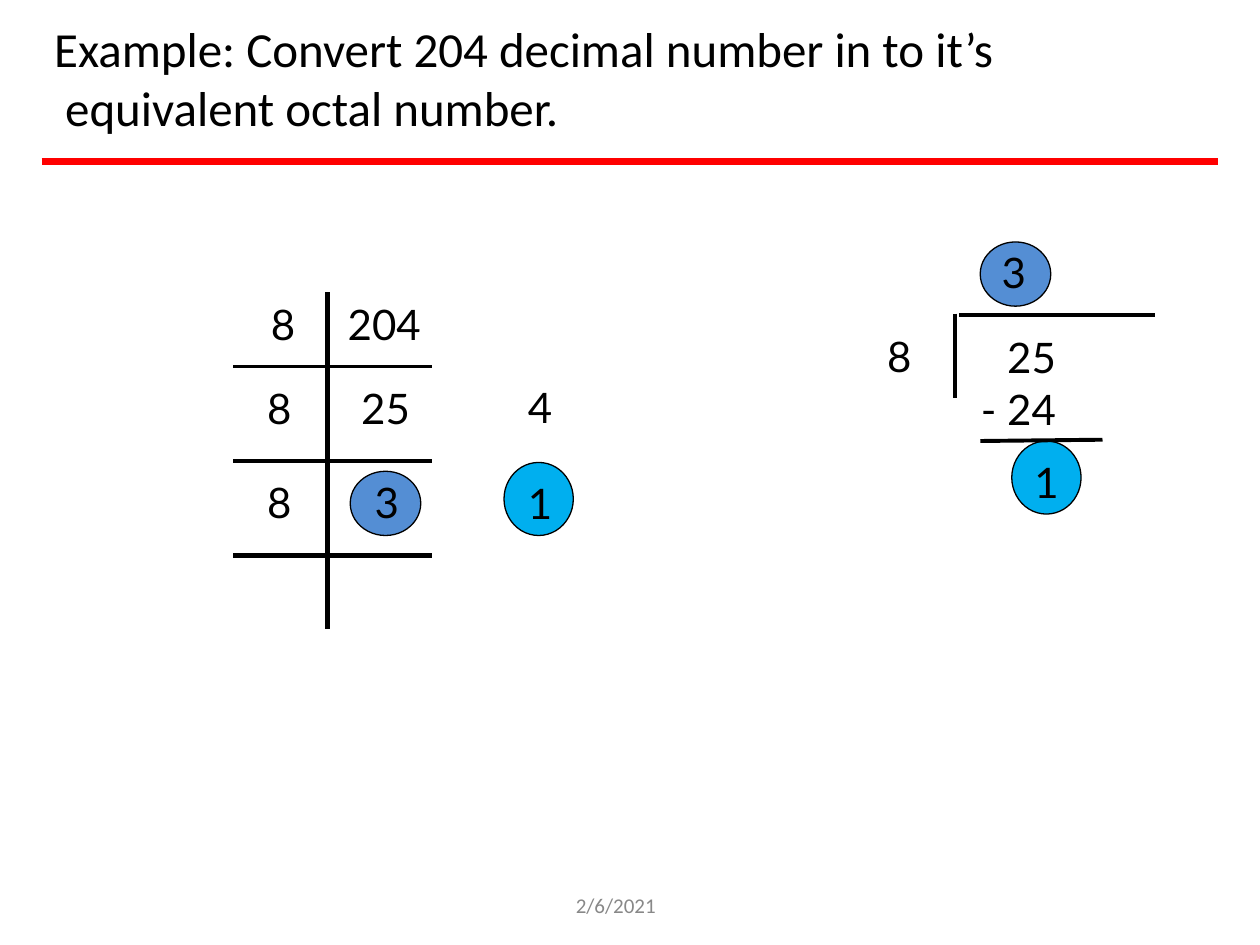
import pptx
import pptx.dml.color
import pptx.enum.shapes
import pptx.enum.text
import pptx.oxml.ns
import pptx.util
from lxml import etree

Inches, Pt = pptx.util.Inches, pptx.util.Pt
Align = pptx.enum.text.PP_ALIGN

# Theme
THEME = {
    "heading_font": "Calibri", "digit_font": "Lato",
    "title": 28, "digit": 24, "date": 12,
    "ink": "000000", "rule": "FF0000", "muted": "888888",
    "quotient": "548ED4", "remainder": "00AFEF",
}

# Content
TITLE = "Example: Convert 204 decimal number in to it’s\v equivalent octal number."
DATE = "2/6/2021"

# Division ladder: divisor, value, indents of both, top margin
LADDER = [
    ("8", "204", 0.30, 0.07, 0.05),
    ("8", "25", 0.27, 0.09, 0.13),
    ("8", "3", 0.27, 0.11, 0.13),
    ("", "", 0, 0, 0),
]
LADDER_AT = (1.85, 2.32)
COLUMN_WIDTHS = [0.75, 0.83]
ROW_HEIGHTS = [0.59, 0.75, 0.75, 0.58]
ROW_RULES = [2.25, 3, 3]  # line under each row but the last
DIVIDER = 3

# Circles: kind, left, top
CIRCLE_SIZES = {"quotient": (0.56, 0.51), "remainder": (0.55, 0.58)}
CIRCLES = [
    ("remainder", 4.00, 3.67), ("quotient", 2.78, 3.74),
    ("quotient", 7.78, 1.92), ("remainder", 8.03, 3.50),
]

# Lines: start x, start y, end x, end y, colour, width
LINES = [
    (0.33, 1.28, 9.67, 1.28, "rule", 4),
    (7.78, 3.50, 8.75, 3.49, "ink", 2.25),
    (7.58, 2.49, 7.58, 3.16, "ink", 2.5),
    (7.61, 2.50, 9.17, 2.50, "ink", 2.25),
]

# Single digits: text, left, top
DIGITS = [
    ("4", 4.18, 3.02), ("1", 4.18, 3.78), ("8", 7.03, 2.61),
    ("3", 7.94, 1.95), ("1", 8.20, 3.61),
]
SUBTRACTION = ["25", "- 24"]


def color(name):
    return pptx.dml.color.RGBColor.from_string(THEME[name])


def style_text(text_frame, size, font, ink="ink", align=Align.LEFT):
    for paragraph in text_frame.paragraphs:
        paragraph.alignment = align
        for run in paragraph.runs:
            run.font.size = Pt(THEME[size])
            run.font.name = THEME[font]
            run.font.color.rgb = color(ink)


def set_frame(text_frame, left=0.01, top=0.01):
    text_frame.word_wrap = True
    text_frame.auto_size = pptx.enum.text.MSO_AUTO_SIZE.NONE
    text_frame.vertical_anchor = pptx.enum.text.MSO_ANCHOR.TOP
    text_frame.margin_left, text_frame.margin_top = Inches(left), Inches(top)
    text_frame.margin_right = text_frame.margin_bottom = 0


def add_text(slide, lines, left, top, width, height, size="digit",
             font="digit_font", ink="ink", align=Align.LEFT):
    box = slide.shapes.add_textbox(*map(Inches, (left, top, width, height)))
    set_frame(box.text_frame)
    box.text_frame.text = "\n".join(lines)
    style_text(box.text_frame, size, font, ink, align)
    return box


def add_circle(slide, kind, left, top):
    shape = slide.shapes.add_shape(
        pptx.enum.shapes.MSO_SHAPE.OVAL,
        *map(Inches, (left, top, *CIRCLE_SIZES[kind])))
    shape.shadow.inherit = False
    shape.fill.solid()
    shape.fill.fore_color.rgb = color(kind)
    shape.line.color.rgb = color("ink")
    shape.line.width = Pt(0.75)


def add_line(slide, x1, y1, x2, y2, ink, width):
    line = slide.shapes.add_connector(
        pptx.enum.shapes.MSO_CONNECTOR.STRAIGHT,
        *map(Inches, (x1, y1, x2, y2)))
    line.line.color.rgb = color(ink)
    line.line.width = Pt(width)
    etree.SubElement(line._element.spPr, pptx.oxml.ns.qn("a:effectLst"))


def set_borders(cell, widths):
    """Draw the sides left, right, top, bottom; a width of 0 hides one."""
    qn = pptx.oxml.ns.qn
    properties = cell._tc.get_or_add_tcPr()
    for side, width in zip("LRTB", widths):
        border = etree.SubElement(properties, qn(f"a:ln{side}"), w=str(int(Pt(width))))
        if width:
            fill = etree.SubElement(border, qn("a:solidFill"))
            etree.SubElement(fill, qn("a:srgbClr"), val=THEME["ink"])
        else:
            etree.SubElement(border, qn("a:noFill"))


def add_ladder(slide):
    table = slide.shapes.add_table(
        len(ROW_HEIGHTS), len(COLUMN_WIDTHS),
        *map(Inches, (*LADDER_AT, sum(COLUMN_WIDTHS), sum(ROW_HEIGHTS)))).table
    table.first_row = table.horz_banding = False
    for column, width in zip(table.columns, COLUMN_WIDTHS):
        column.width = Inches(width)
    rules = [0, *ROW_RULES, 0]
    for r, (divisor, value, left, value_left, top) in enumerate(LADDER):
        table.rows[r].height = Inches(ROW_HEIGHTS[r])
        cells = [(divisor, left, Align.LEFT), (value, value_left, Align.CENTER)]
        for c, (text, indent, align) in enumerate(cells):
            cell = table.cell(r, c)
            cell.margin_left, cell.margin_top = Inches(indent), Inches(top)
            cell.margin_right = cell.margin_bottom = 0
            cell.text_frame.text = text
            style_text(cell.text_frame, "digit", "digit_font", align=align)
            set_borders(cell, (DIVIDER * c, DIVIDER * (1 - c), rules[r], rules[r + 1]))
            cell.fill.background()


def main():
    presentation = pptx.Presentation()
    presentation.slide_width, presentation.slide_height = Inches(10), Inches(7.5)
    slide = presentation.slides.add_slide(presentation.slide_layouts[5])

    # Title
    title = slide.shapes.title
    title.left, title.top, title.width, title.height = map(Inches, (0.42, 0.14, 7.5, 0.96))
    set_frame(title.text_frame)
    title.text_frame.text = TITLE
    style_text(title.text_frame, "title", "heading_font")

    # Circles and lines behind the digits
    for circle in CIRCLES:
        add_circle(slide, *circle)
    for line in LINES:
        add_line(slide, *line)

    # Division ladder, long division and date
    add_ladder(slide)
    for text, left, top in DIGITS:
        add_text(slide, [text], left, top, 0.21, 0.43)
    subtraction = add_text(slide, SUBTRACTION, 7.76, 2.62, 0.62, 0.84, align=Align.RIGHT)
    subtraction.text_frame.paragraphs[1].space_before = Pt(0.8)
    add_text(slide, [DATE], 4.56, 7.07, 0.88, 0.19, "date", "heading_font", "muted")

    presentation.save("out.pptx")


if __name__ == "__main__":
    main()
